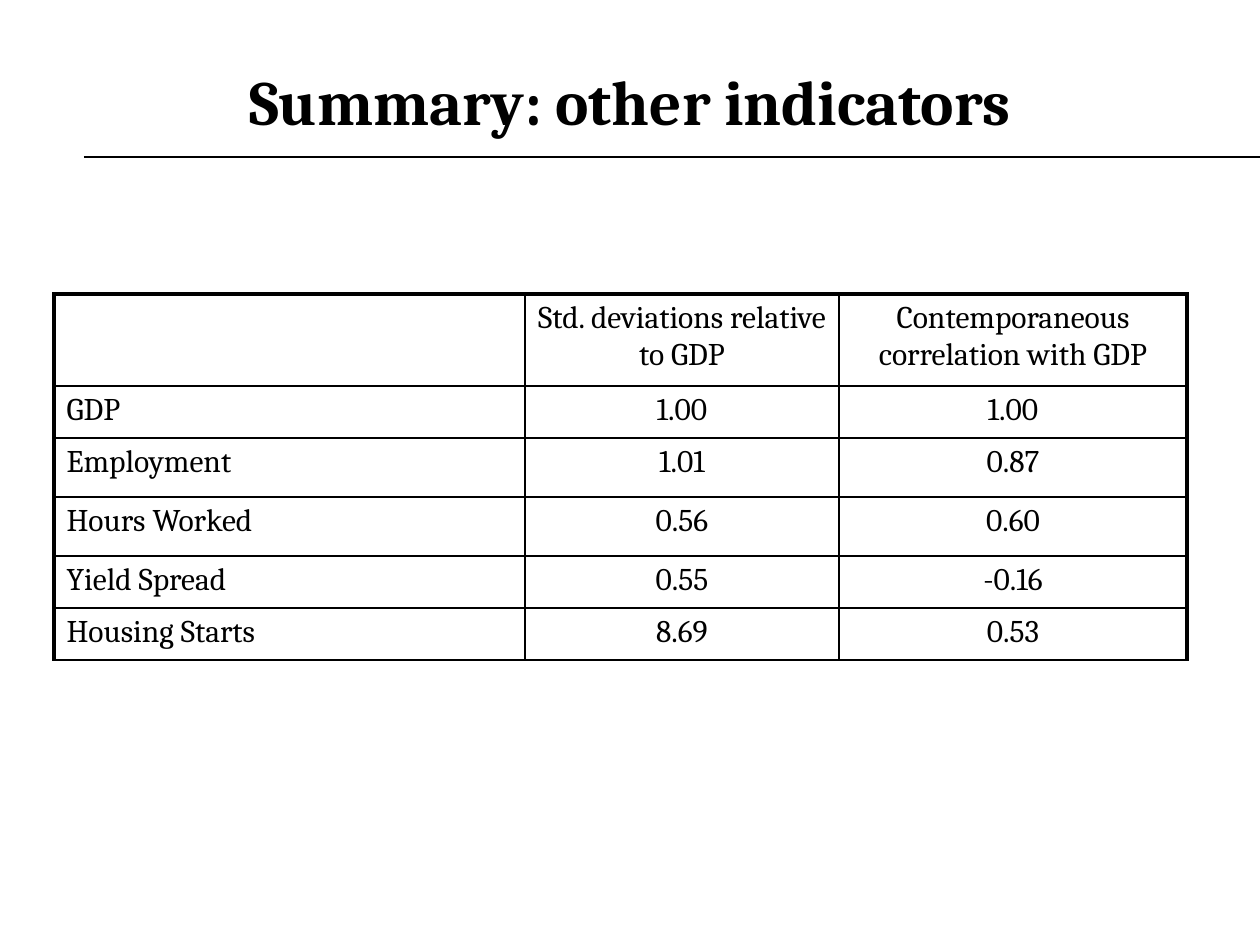
from dataclasses import dataclass

from pptx import Presentation
from pptx.dml.color import RGBColor
from pptx.enum.shapes import MSO_CONNECTOR
from pptx.enum.text import MSO_ANCHOR, PP_ALIGN
from pptx.oxml.ns import qn
from pptx.oxml.xmlchemy import OxmlElement
from pptx.slide import Slide
from pptx.table import _Cell
from pptx.text.text import _Paragraph
from pptx.util import Emu, Pt

PX_PER_INCH = 126


@dataclass(frozen=True)
class Theme:
    font: str = "Cambria"
    ink: RGBColor = RGBColor(0, 0, 0)
    title_size: float = 36
    body_size: float = 18
    rule_width: float = 0.75
    grid_width: float = 1
    frame_width: float = 2.25


@dataclass(frozen=True)
class Indicator:
    name: str
    deviation: str
    correlation: str
    height: int


THEME = Theme()
COLUMN_WIDTHS = (471, 314, 348)
INDICATORS = (
    Indicator("", "Std. deviations relative to GDP",
              "Contemporaneous correlation with GDP", 92),
    Indicator("GDP", "1.00", "1.00", 52),
    Indicator("Employment", "1.01", "0.87", 59),
    Indicator("Hours Worked", "0.56", "0.60", 59),
    Indicator("Yield Spread", "0.55", "-0.16", 52),
    Indicator("Housing Starts", "8.69", "0.53", 52),
)


def px(length: int) -> Emu:
    return Emu(round(length * 914400 / PX_PER_INCH))


def add_run(paragraph: _Paragraph, text: str, size: float, bold: bool = False) -> None:
    run = paragraph.add_run()
    run.text = text
    run.font.name = THEME.font
    run.font.size = Pt(size)
    run.font.bold = bold
    run.font.color.rgb = THEME.ink


def add_title(slide: Slide, text: str) -> None:
    title = slide.shapes.title
    title.left, title.top, title.width, title.height = px(63), px(42), px(1134), px(116)
    title.text_frame.vertical_anchor = MSO_ANCHOR.MIDDLE
    paragraph = title.text_frame.paragraphs[0]
    paragraph.alignment = PP_ALIGN.CENTER
    add_run(paragraph, text, THEME.title_size, bold=True)


def add_title_rule(slide: Slide) -> None:
    rule = slide.shapes.add_connector(
        MSO_CONNECTOR.STRAIGHT, px(84), px(157), px(1260), px(157))
    rule.line.color.rgb = THEME.ink
    rule.line.width = Pt(THEME.rule_width)
    rule._element.spPr.append(OxmlElement("a:effectLst"))


def set_space_before(paragraph: _Paragraph, percent: int) -> None:
    """Set the space before as a share of the line height."""
    spacing = OxmlElement("a:spcBef")
    share = OxmlElement("a:spcPct")
    share.set("val", str(percent * 1000))
    spacing.append(share)
    paragraph._p.get_or_add_pPr().insert(0, spacing)


def set_borders(cell: _Cell, heavy_sides: set[str]) -> None:
    """Draw all four borders, with the frame width on the heavy sides."""
    properties = cell._tc.get_or_add_tcPr()
    for position, side in enumerate("LRTB"):
        width = THEME.frame_width if side in heavy_sides else THEME.grid_width
        border = OxmlElement(f"a:ln{side}")
        border.set("w", str(Pt(width)))
        fill = OxmlElement("a:solidFill")
        color = OxmlElement("a:srgbClr")
        color.set("val", str(THEME.ink))
        fill.append(color)
        border.append(fill)
        properties.insert(position, border)


def add_indicator_table(slide: Slide) -> None:
    frame = slide.shapes.add_table(
        len(INDICATORS), len(COLUMN_WIDTHS), px(54), px(294),
        px(sum(COLUMN_WIDTHS)), px(sum(item.height for item in INDICATORS)))
    table = frame.table
    table.first_row = table.horz_banding = False
    # "No Style, No Grid"
    table._tbl.tblPr.find(qn("a:tableStyleId")).text = (
        "{2D5ABB26-0587-4C30-8999-92F81FD0307C}")
    for column, width in zip(table.columns, COLUMN_WIDTHS):
        column.width = px(width)

    last_column = len(COLUMN_WIDTHS) - 1
    for row, item in enumerate(INDICATORS):
        table.rows[row].height = px(item.height)
        for column, text in enumerate((item.name, item.deviation, item.correlation)):
            cell = table.cell(row, column)
            cell.fill.background()
            outer_sides = {"T": row == 0, "L": column == 0, "R": column == last_column}
            set_borders(cell, {side for side, outer in outer_sides.items() if outer})
            if text:
                paragraph = cell.text_frame.paragraphs[0]
                paragraph.alignment = PP_ALIGN.CENTER if column else PP_ALIGN.LEFT
                set_space_before(paragraph, 20)
                add_run(paragraph, text, THEME.body_size)


def main() -> None:
    presentation = Presentation()
    presentation.slide_width, presentation.slide_height = px(1260), px(945)
    slide = presentation.slides.add_slide(presentation.slide_layouts.get_by_name("Title Only"))
    add_title_rule(slide)
    add_title(slide, "Summary: other indicators")
    add_indicator_table(slide)
    presentation.save("out.pptx")


if __name__ == "__main__":
    main()
